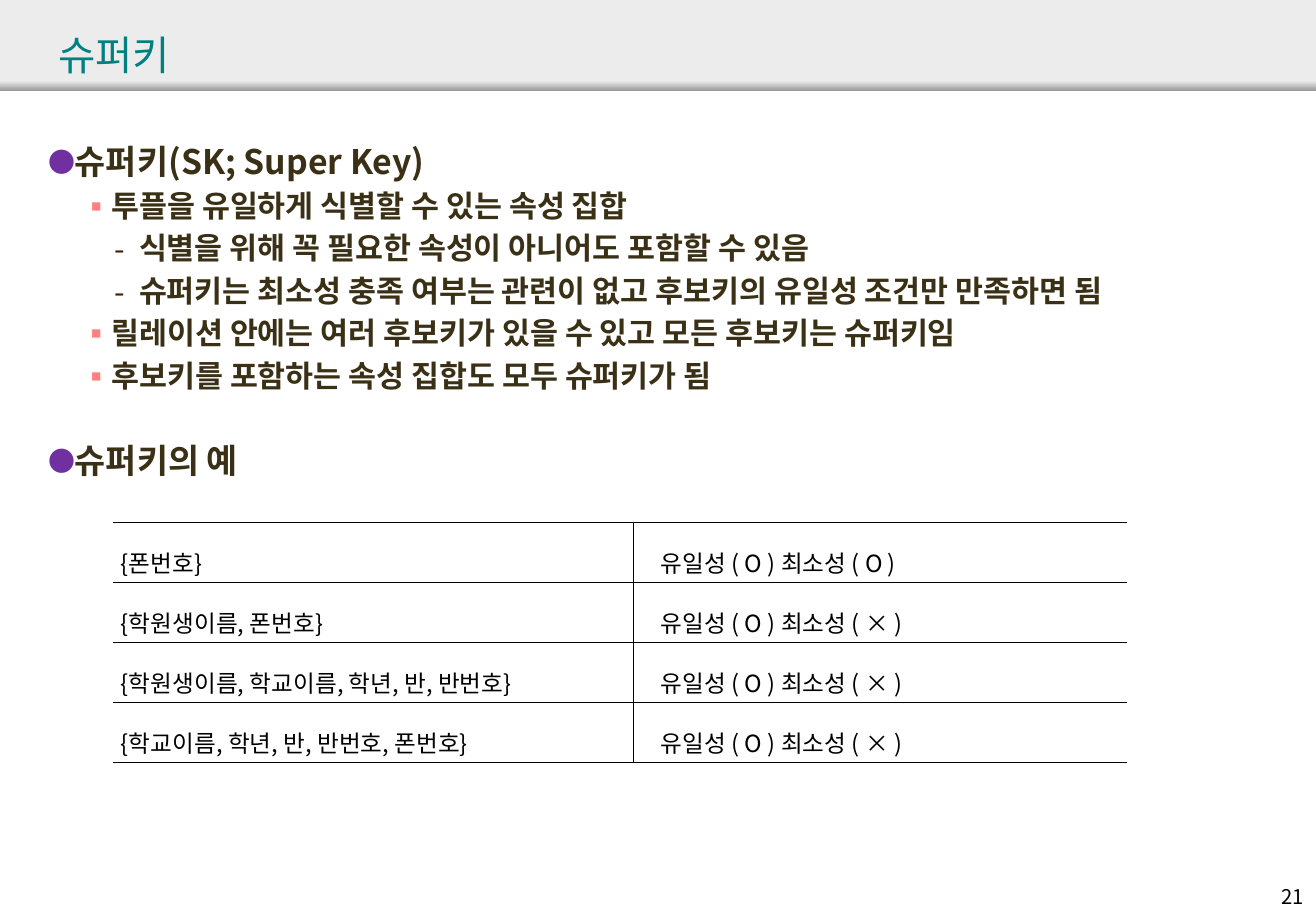
"""Build the super key slide with its outline and example table."""
from lxml import etree
from pptx import Presentation
from pptx.dml.color import RGBColor
from pptx.enum.shapes import MSO_SHAPE
from pptx.enum.text import MSO_ANCHOR, PP_ALIGN
from pptx.oxml.ns import qn
from pptx.util import Pt

RECT = MSO_SHAPE.RECTANGLE
MIDDLE, TOP = MSO_ANCHOR.MIDDLE, MSO_ANCHOR.TOP
LEFT, RIGHT = PP_ALIGN.LEFT, PP_ALIGN.RIGHT

TITLE = "슈퍼키"
NUMBER = "21"
POINTS = [
    (0, "슈퍼키(SK; Super Key)"),
    (1, "투플을 유일하게 식별할 수 있는 속성 집합"),
    (2, "식별을 위해 꼭 필요한 속성이 아니어도 포함할 수 있음"),
    (2, "슈퍼키는 최소성 충족 여부는 관련이 없고 후보키의 유일성 조건만 만족하면 됨"),
    (1, "릴레이션 안에는 여러 후보키가 있을 수 있고 모든 후보키는 슈퍼키임"),
    (1, "후보키를 포함하는 속성 집합도 모두 슈퍼키가 됨"),
    (0, "슈퍼키의 예"),
]
KEYS = [
    ("{폰번호}", "유일성 ( O ) 최소성 ( O )"),
    ("{학원생이름, 폰번호}", "유일성 ( O ) 최소성 ( × )"),
    ("{학원생이름, 학교이름, 학년, 반, 반번호}", "유일성 ( O ) 최소성 ( × )"),
    ("{학교이름, 학년, 반, 반번호, 폰번호}", "유일성 ( O ) 최소성 ( × )"),
]
THEME = {
    "font": "Noto Sans CJK KR",
    "title": (24, "008080"),
    "number": (12, "000000"),
    "cell": (14, "000000"),
    "body": "3A3016",
    "band": "ECECEC",
    "edge": "979797",
    "rule": "000000",
    "rule_pt": 0.28,
}
LEVELS = [
    {"size": 20, "line": 26, "indent": 24, "mark": "●", "color": "7030A0", "scale": 80},
    {"size": 18, "line": 25.2, "indent": 57, "mark": "▪", "color": "FF8080", "scale": 100},
    {"size": 18, "line": 25.2, "indent": 91, "mark": "-", "color": "3D2505", "scale": 100},
]
WIDE, HIGH = 1316, 911
HANG = 24
COLS, ROW = (520, 494), 60
PADS = (8, 28)


def px(n):
    return round(n * 914400 / 121.5)


def rgb(code):
    return RGBColor.from_string(code)


def sub(node, tag, **attrs):
    return etree.SubElement(node, qn(tag), attrs)


def style(para, size, color, bold=False):
    for run in para.runs:
        font = run.font
        font.size, font.bold = Pt(size), bold
        font.color.rgb = rgb(color)
        font.name = THEME["font"]
        sub(font._element, "a:ea", typeface=THEME["font"])


def frame(slide, box, anchor=TOP, pads=(12, 6, 12, 6)):
    text = slide.shapes.add_textbox(*map(px, box)).text_frame
    text.word_wrap = True
    text.vertical_anchor = anchor
    text.margin_left, text.margin_top, text.margin_right, text.margin_bottom = map(px, pads)
    return text


def label(slide, box, text, kind, anchor=TOP, align=LEFT):
    para = frame(slide, box, anchor).paragraphs[0]
    para.text = text
    para.alignment = align
    style(para, *THEME[kind])


def header(slide):
    band, edge = [slide.shapes.add_shape(RECT, 0, px(y), px(WIDE), px(h))
                  for y, h in ((0, 91), (81, 10))]
    for part in (band, edge):
        part.shadow.inherit = False
        part.line.fill.background()
    band.fill.solid()
    band.fill.fore_color.rgb = rgb(THEME["band"])
    edge.fill.gradient()
    edge.fill.gradient_angle = 270
    for stop, kind, at in zip(edge.fill.gradient_stops, ("band", "edge"), (0, 1)):
        stop.color.rgb = rgb(THEME[kind])
        stop.position = at


def outline(slide):
    text = frame(slide, (36, 137, 1254, 360), pads=(12, 0, 12, 0))
    for i, (level, words) in enumerate(POINTS):
        look = LEVELS[level]
        para = text.add_paragraph() if i else text.paragraphs[0]
        para.text, para.level = words, level
        para.line_spacing = Pt(look["line"])
        para.space_before = Pt(LEVELS[1]["line"] if i and level == 0 else 0)
        style(para, look["size"], THEME["body"], True)
        props = para._p.get_or_add_pPr()
        props.set("marL", str(px(look["indent"])))
        props.set("indent", str(-px(HANG)))
        sub(sub(props, "a:buClr"), "a:srgbClr", val=look["color"])
        sub(props, "a:buSzPct", val=str(look["scale"] * 1000))
        sub(props, "a:buFont", typeface=THEME["font"])
        sub(props, "a:buChar", char=look["mark"])


def border(cell, sides):
    props = cell._tc.get_or_add_tcPr()
    for side in "LRTB":
        line = sub(props, f"a:ln{side}", w=str(Pt(THEME["rule_pt"])))
        if side in sides:
            sub(sub(line, "a:solidFill"), "a:srgbClr", val=THEME["rule"])
        else:
            sub(line, "a:noFill")


def examples(slide):
    box = map(px, (113, 522, sum(COLS), ROW * len(KEYS)))
    table = slide.shapes.add_table(len(KEYS), len(COLS), *box).table
    table.first_row = table.horz_banding = False
    for col, width in zip(table.columns, COLS):
        col.width = px(width)
    for row, words in zip(table.rows, KEYS):
        row.height = px(ROW)
        for cell, text, pad, sides in zip(row.cells, words, PADS, ("RTB", "LTB")):
            cell.text = text
            cell.vertical_anchor = MIDDLE
            cell.margin_left, cell.margin_right = px(pad), px(8)
            cell.margin_top = cell.margin_bottom = px(2)
            border(cell, sides)
            cell.fill.background()
            para = cell.text_frame.paragraphs[0]
            para.line_spacing = 1.6
            style(para, *THEME["cell"])


def main():
    deck = Presentation()
    deck.slide_width, deck.slide_height = px(WIDE), px(HIGH)
    slide = deck.slides.add_slide(deck.slide_layouts[6])
    header(slide)
    label(slide, (46, 16, 1205, 76), TITLE, "title", MIDDLE)
    outline(slide)
    examples(slide)
    label(slide, (1249, 878, 67, 33), NUMBER, "number", align=RIGHT)
    deck.save("out.pptx")


if __name__ == "__main__":
    main()
